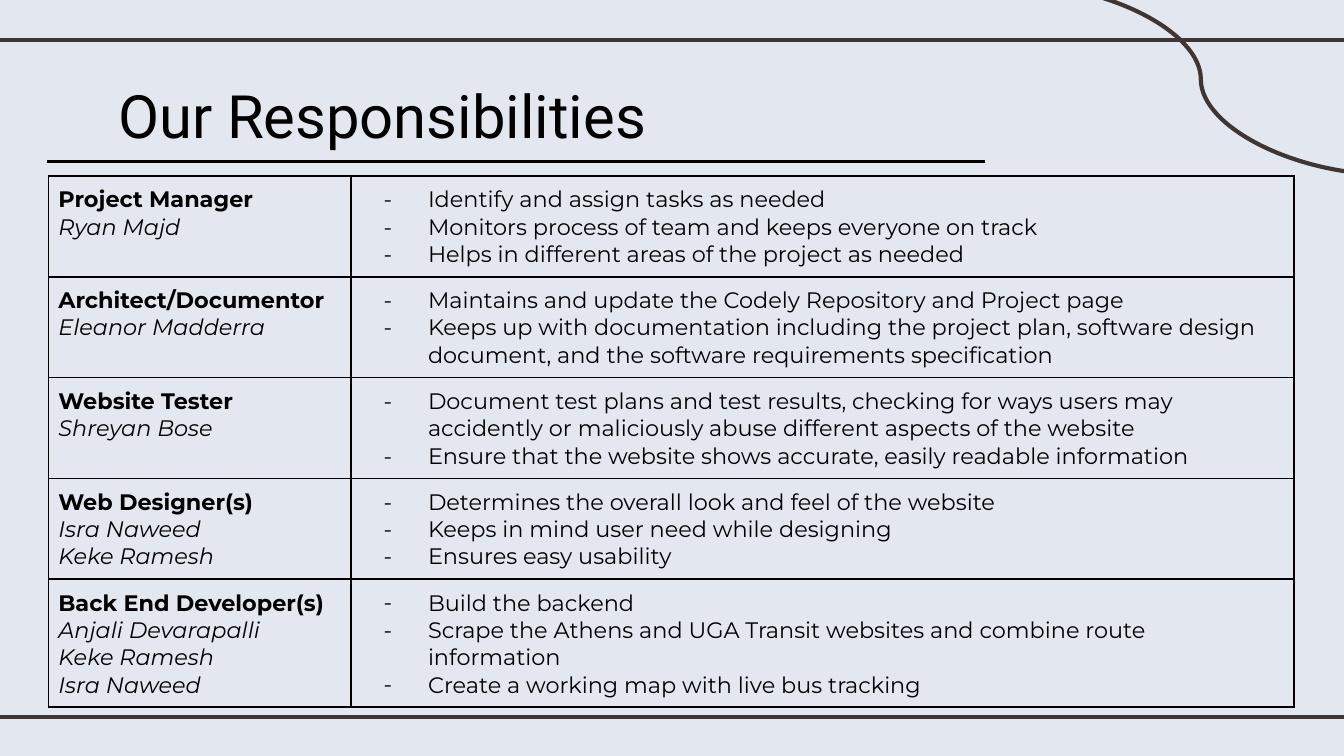
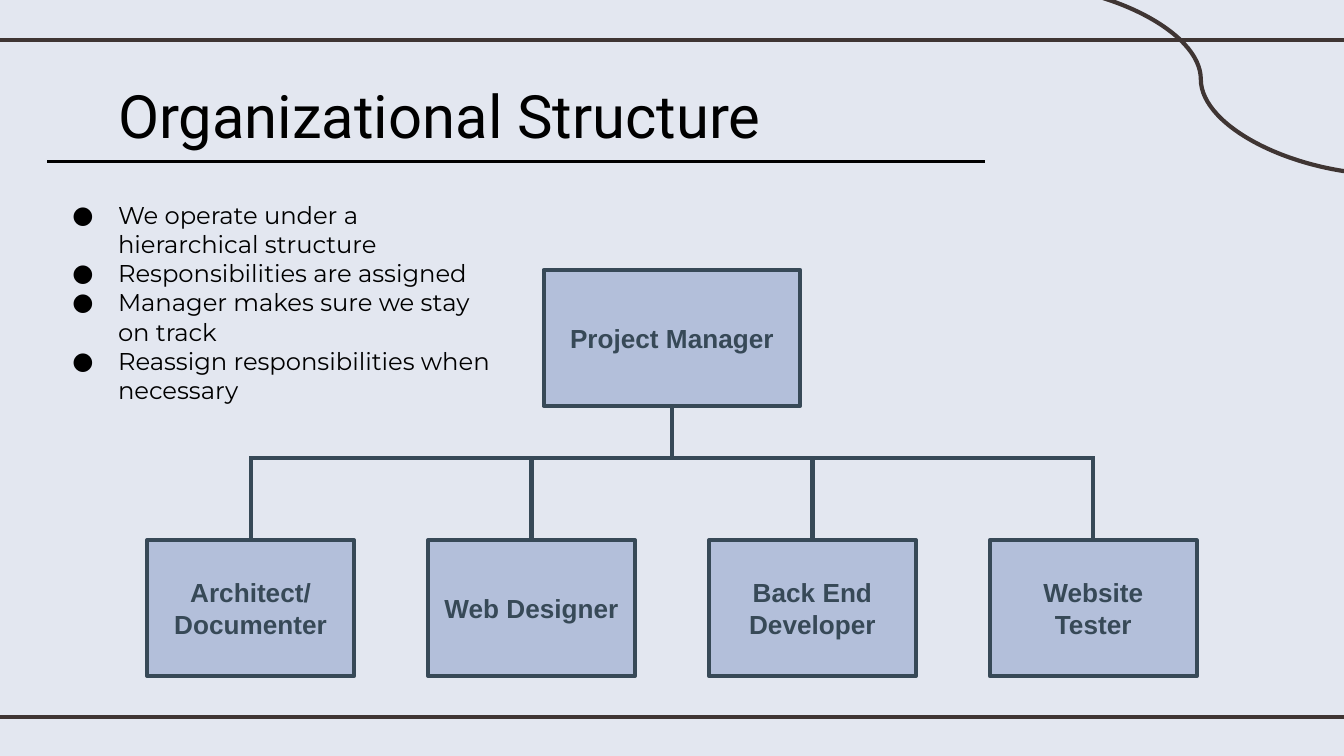
from lxml.etree import SubElement
from pptx import Presentation
from pptx.dml.color import RGBColor
from pptx.enum.shapes import MSO_CONNECTOR as Line, MSO_SHAPE as Preset
from pptx.enum.text import MSO_ANCHOR as Anchor, PP_ALIGN as Align
from pptx.oxml import parse_xml
from pptx.oxml.ns import nsdecls, qn
from pptx.util import Inches, Pt

WIDTH = 10
HEIGHT = WIDTH * 9 / 16
COLORS = {"back": "E3E7F0", "band": "3F3533", "ink": "000000", "box": "B3BFDA", "edge": "374957"}
BODY_FONT = "Montserrat"

RESPONSIBILITIES = [
    ("Project Manager", ["Ryan Majd"], [
        "Identify and assign tasks as needed",
        "Monitors process of team and keeps everyone on track",
        "Helps in different areas of the project as needed"]),
    ("Architect/Documentor", ["Eleanor Madderra"], [
        "Maintains and update the Codely Repository and Project page",
        "Keeps up with documentation including the project plan, software design document, "
        "and the software requirements specification"]),
    ("Website Tester", ["Shreyan Bose"], [
        "Document test plans and test results, checking for ways users may accidently or "
        "maliciously abuse different aspects of the website",
        "Ensure that the website shows accurate, easily readable information"]),
    ("Web Designer(s)", ["Isra Naweed", "Keke Ramesh"], [
        "Determines the overall look and feel of the website",
        "Keeps in mind user need while designing",
        "Ensures easy usability"]),
    ("Back End Developer(s)", ["Anjali Devarapalli", "Keke Ramesh", "Isra Naweed"], [
        "Build the backend",
        "Scrape the Athens and UGA Transit websites and combine route information",
        "Create a working map with live bus tracking"]),
]
STRUCTURE_NOTES = [
    "We operate under a hierarchical structure",
    "Responsibilities are assigned",
    "Manager makes sure we stay on track",
    "Reassign responsibilities when necessary",
]
MANAGER = "Project Manager"
TEAM = ["Architect/\nDocumenter", "Web Designer", "Back End Developer", "Website Tester"]


def color(name):
    return RGBColor.from_string(COLORS[name])


def style(paragraph, font, size, ink="ink", bold=False, italic=False):
    for run in paragraph.runs:
        run.font.name, run.font.size = font, Pt(size)
        run.font.bold, run.font.italic = bold, italic
        run.font.color.rgb = color(ink)


def add_bullet(paragraph, mark, hang, size):
    properties = paragraph._p.get_or_add_pPr()
    properties.set("marL", str(Inches(0.5)))
    properties.set("indent", str(-Inches(hang)))
    tint = SubElement(properties, qn("a:buClr"))
    SubElement(tint, qn("a:srgbClr")).set("val", COLORS["ink"])
    SubElement(properties, qn("a:buSzPts")).set("val", str(size * 100))
    SubElement(properties, qn("a:buFont")).set("typeface", BODY_FONT)
    SubElement(properties, qn("a:buChar")).set("char", mark)


def fill_bullets(text_frame, lines, mark, hang, size):
    text_frame.text = "\n".join(lines)
    for paragraph in text_frame.paragraphs:
        add_bullet(paragraph, mark, hang, size)
        style(paragraph, BODY_FONT, size)


def add_line(slide, start, end, ink, weight=2.25, kind=Line.STRAIGHT):
    line = slide.shapes.add_connector(kind, *map(Inches, start + end))
    line.line.color.rgb = color(ink)
    line.line.width = Pt(weight)
    SubElement(line._element.spPr, qn("a:effectLst"))
    return line


def add_text_box(slide, *place):
    text_frame = slide.shapes.add_textbox(*map(Inches, place)).text_frame
    text_frame.word_wrap = True
    text_frame.margin_left = text_frame.margin_right = Inches(0.1)
    text_frame.margin_top = text_frame.margin_bottom = Inches(0.1)
    return text_frame


def add_titled_slide(presentation, title):
    slide = presentation.slides.add_slide(presentation.slide_layouts[6])
    slide.background.fill.solid()
    slide.background.fill.fore_color.rgb = color("back")
    for y in (0.3, HEIGHT - 0.29):
        add_line(slide, (-0.08, y), (WIDTH + 0.08, y), "band")
    add_line(slide, (7.53, -0.12), (10.34, 1.3), "band", kind=Line.CURVE)
    text_frame = add_text_box(slide, 0.78, 0.49, 5.15, 0.63)
    text_frame.text = title
    style(text_frame.paragraphs[0], "Roboto", 32)
    add_line(slide, (0.35, 1.2), (7.33, 1.2), "ink", 1.5)
    return slide


def frame_cell(cell):
    cell.fill.background()
    cell.margin_left = cell.margin_right = cell.margin_top = cell.margin_bottom = Pt(5.4)
    properties = cell._tc.get_or_add_tcPr()
    for position, side in enumerate(("lnL", "lnR", "lnT", "lnB")):
        properties.insert(position, parse_xml(
            f'<a:{side} {nsdecls("a")} w="{Pt(1)}"><a:solidFill>'
            f'<a:srgbClr val="{COLORS["ink"]}"/></a:solidFill></a:{side}>'))


def add_responsibilities(slide):
    widths = (2.25, 7.02)
    heights = [0.15 + 0.2 * max(3, 1 + len(people)) for _, people, _ in RESPONSIBILITIES]
    table = slide.shapes.add_table(
        len(heights), len(widths),
        *map(Inches, (0.36, 1.31, sum(widths), sum(heights)))).table
    table.first_row = table.horz_banding = False
    for column, width in zip(table.columns, widths):
        column.width = Inches(width)
    for row, height, (role, people, duties) in zip(table.rows, heights, RESPONSIBILITIES):
        row.height = Inches(height)
        who, what = row.cells
        frame_cell(who)
        frame_cell(what)
        who.text_frame.text = "\n".join([role] + people)
        for index, paragraph in enumerate(who.text_frame.paragraphs):
            style(paragraph, BODY_FONT, 12, bold=index == 0, italic=index > 0)
        fill_bullets(what.text_frame, duties, "-", 0.33, 12)


def add_role(slide, text, center, top, width):
    box = slide.shapes.add_shape(
        Preset.RECTANGLE, *map(Inches, (center - width / 2, top, width, 1.01)))
    box.shadow.inherit = False
    box.fill.solid()
    box.fill.fore_color.rgb = color("box")
    box.line.color.rgb = color("edge")
    box.line.width = Pt(2.25)
    text_frame = box.text_frame
    text_frame.word_wrap = True
    text_frame.vertical_anchor = Anchor.MIDDLE
    text_frame.text = text
    for paragraph in text_frame.paragraphs:
        paragraph.alignment = Align.CENTER
        style(paragraph, "Arial", 14, "edge", bold=True)
    return box


def add_organization(slide):
    middle, pitch, bus, team_top = WIDTH / 2, 2.09, 3.41, 4.02
    centers = [middle + (index - (len(TEAM) - 1) / 2) * pitch for index in range(len(TEAM))]
    manager = add_role(slide, MANAGER, middle, 2.01, 1.91)
    add_line(slide, (middle, 3.02), (middle, bus), "edge").begin_connect(manager, 2)
    add_line(slide, (centers[0] - 0.01, bus), (centers[-1] + 0.01, bus), "edge")
    for name, center in zip(TEAM, centers):
        member = add_role(slide, name, center, team_top, 1.54)
        add_line(slide, (center, team_top), (center, bus), "edge").begin_connect(member, 0)


def main():
    presentation = Presentation()
    presentation.slide_width, presentation.slide_height = Inches(WIDTH), Inches(HEIGHT)
    add_responsibilities(add_titled_slide(presentation, "Our Responsibilities"))
    slide = add_titled_slide(presentation, "Organizational Structure")
    add_organization(slide)
    fill_bullets(add_text_box(slide, 0.28, 1.39, 3.51, 1.63), STRUCTURE_NOTES, "●", 0.34, 13)
    presentation.save("out.pptx")


if __name__ == "__main__":
    main()
